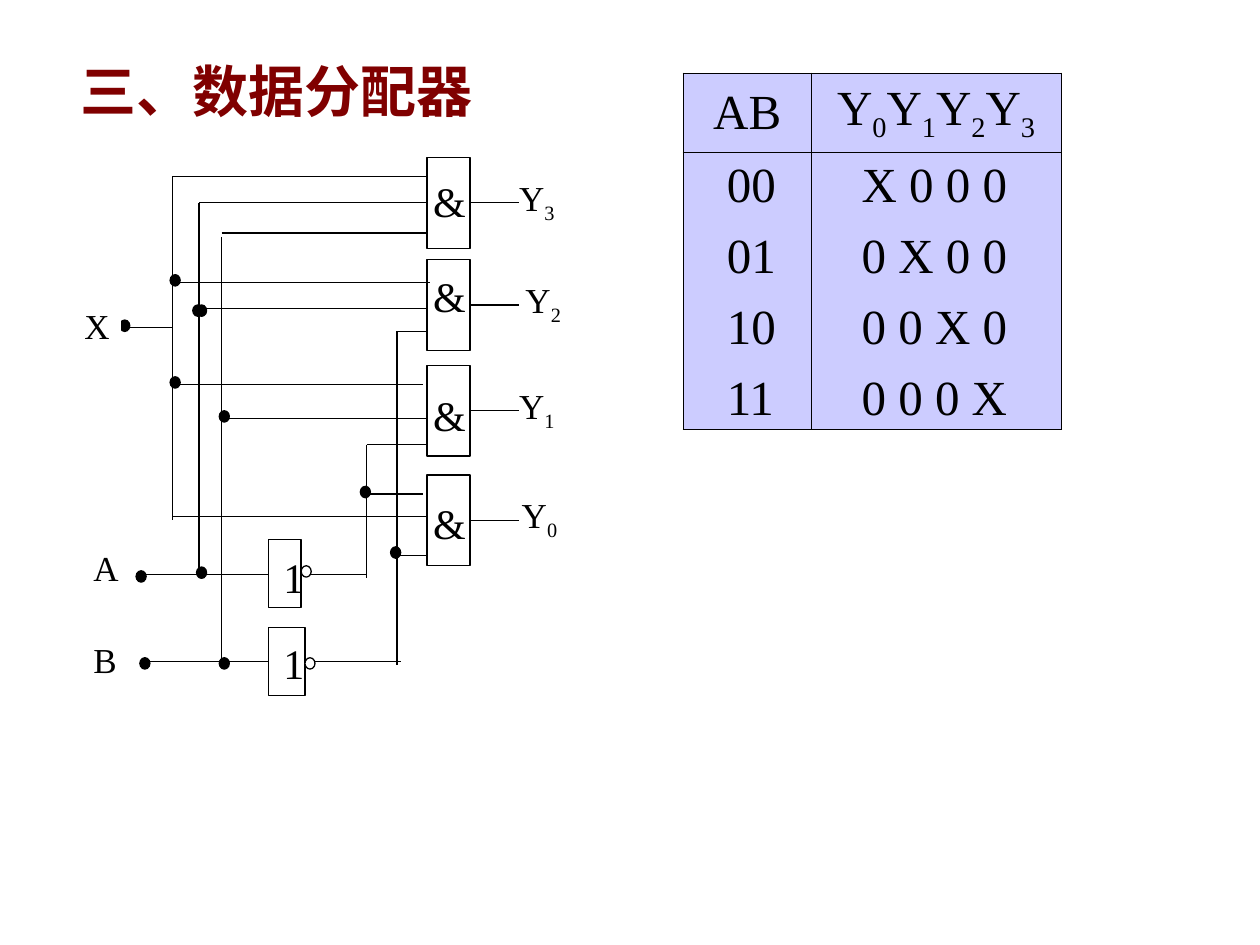
from dataclasses import dataclass

from lxml.etree import SubElement
from pptx import Presentation
from pptx.dml.color import RGBColor
from pptx.enum.shapes import MSO_CONNECTOR, MSO_SHAPE
from pptx.enum.text import MSO_ANCHOR, PP_ALIGN
from pptx.oxml.ns import qn
from pptx.util import Inches, Pt


@dataclass(frozen=True)
class Theme:
    face: str = "Times New Roman"
    ink: RGBColor = RGBColor(0, 0, 0)
    paper: RGBColor = RGBColor(255, 255, 255)
    title: RGBColor = RGBColor(0x80, 0, 0)
    cell: RGBColor = RGBColor(0xCC, 0xCC, 0xFF)
    head: int = 32
    grid: int = 28
    gate: int = 24
    label: int = 20
    wire: float = 0.75
    rule: float = 0.45


THEME = Theme()
DOT = (0.08, 0.09)
GATE = (0.34, 0.72)
GATE_X = 3.39

# Gate top, "&" top, output name, name left, name top
GATES = [
    (1.25, 1.34, "3", 4.12, 1.40),
    (2.06, 2.10, "2", 4.17, 2.21),
    (2.90, 3.04, "1", 4.12, 3.05),
    (3.77, 3.90, "0", 4.14, 3.92),
]
# Inverter top, width, "1" top, bubble top
NOTS = [(4.28, 0.26, 4.33, 4.49), (4.98, 0.29, 5.01, 5.22)]
# Level wires: y, left, right
LEVEL = [
    (1.40, 1.37, 3.39), (4.10, 1.37, 3.39), (2.24, 1.37, 3.41),
    (3.05, 1.37, 3.36), (2.60, 1.03, 1.37), (1.61, 1.58, 3.39),
    (1.85, 1.76, 3.38), (2.45, 1.58, 3.39), (3.32, 1.76, 3.38),
    (2.63, 3.15, 3.38), (4.41, 3.15, 3.38), (3.53, 2.91, 3.38),
    (3.92, 2.91, 3.36), (4.56, 1.11, 2.91), (5.25, 1.14, 3.18),
]
# Upright wires: x, top, bottom
UPRIGHT = [
    (1.37, 1.40, 4.13), (1.58, 1.61, 4.56), (1.76, 1.88, 5.25),
    (3.15, 2.63, 5.28), (2.91, 3.53, 4.59),
]
DOTS = [
    (2.86, 3.86), (1.56, 2.42), (1.74, 3.26), (3.10, 4.34),
    (1.56, 4.50), (1.74, 5.22), (1.53, 2.42), (1.11, 5.22),
    (0.95, 2.54), (1.08, 4.53), (1.35, 2.18), (1.35, 2.99),
]
INPUTS = [("X", 0.67, 2.42), ("A", 0.74, 4.34), ("B", 0.74, 5.07)]
ROWS = ["00\tX 0 0 0", "01\t0 X 0 0", "10\t0 0 X 0", "11\t0 0 0 X"]


def write(par, runs, size, color=THEME.ink, bold=False):
    """Fill a paragraph; every second run is a subscript."""
    for i, text in enumerate(runs):
        run = par.add_run()
        run.text = text
        if i % 2:
            run.font._element.set("baseline", "-25000")
    font = par.font
    font.name, font.size, font.bold = THEME.face, Pt(size), bold
    font.color.rgb = color


def add_box(slide, x, y, w, h):
    box = slide.shapes.add_textbox(Inches(x), Inches(y), Inches(w), Inches(h))
    box.text_frame.word_wrap = True
    return box


def add_text(slide, text, x, y, w, h, size, **style):
    box = add_box(slide, x, y, w, h)
    write(box.text_frame.paragraphs[0], [text], size, **style)


def add_label(slide, runs, x, y):
    """Name a signal in a white box without margins."""
    box = add_box(slide, x, y, 0.29, 0.42)
    box.fill.solid()
    box.fill.fore_color.rgb = THEME.paper
    frame = box.text_frame
    frame.margin_left = frame.margin_right = 0
    frame.margin_top = frame.margin_bottom = 0
    frame.paragraphs[0].alignment = PP_ALIGN.JUSTIFY
    write(frame.paragraphs[0], runs, THEME.label)


def add_part(slide, kind, x, y, w, h, fill=THEME.paper):
    part = slide.shapes.add_shape(kind, Inches(x), Inches(y), Inches(w), Inches(h))
    part.shadow.inherit = False
    part.fill.solid()
    part.fill.fore_color.rgb = fill
    part.line.color.rgb = THEME.ink
    part.line.width = Pt(THEME.wire)


def add_wire(slide, x1, y1, x2, y2):
    wire = slide.shapes.add_connector(
        MSO_CONNECTOR.STRAIGHT, Inches(x1), Inches(y1), Inches(x2), Inches(y2))
    wire.line.color.rgb = THEME.ink
    wire.line.width = Pt(THEME.wire)
    SubElement(wire._element.spPr, qn("a:effectLst"))


def draw_gates(slide):
    for top, mark, digit, x, y in GATES:
        add_part(slide, MSO_SHAPE.RECTANGLE, GATE_X, top, *GATE)
        mid = top + GATE[1] / 2
        add_wire(slide, GATE_X + GATE[0], mid, 4.12, mid)
        add_label(slide, ["Y", digit], x, y)
        add_text(slide, "&", 3.34, mark, 0.37, 0.5, THEME.gate)


def draw_wires(slide):
    for y, left, right in LEVEL:
        add_wire(slide, left, y, right, y)
    for x, top, low in UPRIGHT:
        add_wire(slide, x, top, x, low)


def draw_nots(slide):
    for top, wide, mark, ring in NOTS:
        add_part(slide, MSO_SHAPE.RECTANGLE, 2.13, top, wide, 0.54)
        add_part(slide, MSO_SHAPE.OVAL, 2.13 + wide, ring, *DOT)
        add_text(slide, "1", 2.15, mark, 0.3, 0.5, THEME.gate)


def style_cell(cell):
    """Rule all four sides, then fill."""
    props = cell._tc.get_or_add_tcPr()
    for side in ("lnL", "lnR", "lnT", "lnB"):
        line = SubElement(props, qn("a:" + side), w=str(Pt(THEME.rule)))
        fill = SubElement(line, qn("a:solidFill"))
        SubElement(fill, qn("a:srgbClr"), val=str(THEME.ink))
    cell.fill.solid()
    cell.fill.fore_color.rgb = THEME.cell
    cell.vertical_anchor = MSO_ANCHOR.MIDDLE


def add_truth(slide):
    table = slide.shapes.add_table(
        2, 2, Inches(5.42), Inches(0.58), Inches(3), Inches(2.83)).table
    for col, wide in zip(table.columns, (1.02, 1.98)):
        col.width = Inches(wide)
    for row, high in zip(table.rows, (0.63, 2.2)):
        row.height = Inches(high)
    for cell in table.iter_cells():
        style_cell(cell)
    for i, runs in enumerate((["AB"], "Y0Y1Y2Y3")):
        par = table.cell(0, i).text_frame.paragraphs[0]
        par.alignment = PP_ALIGN.CENTER
        write(par, runs, THEME.grid)

    frame = add_box(slide, 5.67, 1.17, 2.58, 2.26).text_frame
    for i, text in enumerate(ROWS):
        par = frame.add_paragraph() if i else frame.paragraphs[0]
        if i:
            par.space_before = Pt(7)
        tabs = SubElement(par._p.get_or_add_pPr(), qn("a:tabLst"))
        SubElement(tabs, qn("a:tab"), pos=str(Inches(1.07)), algn="l")
        write(par, [text], THEME.grid)


def main():
    deck = Presentation()
    deck.slide_width, deck.slide_height = Inches(10), Inches(7.5)
    slide = deck.slides.add_slide(deck.slide_layouts[6])
    add_text(slide, "三、数据分配器", 0.54, 0.4, 5.04, 0.64, THEME.head,
             color=THEME.title, bold=True)
    draw_gates(slide)
    draw_wires(slide)
    draw_nots(slide)
    for x, y in DOTS:
        add_part(slide, MSO_SHAPE.OVAL, x, y, *DOT, fill=THEME.ink)
    for name, x, y in INPUTS:
        add_label(slide, [name], x, y)
    add_truth(slide)
    deck.save("out.pptx")


if __name__ == "__main__":
    main()
